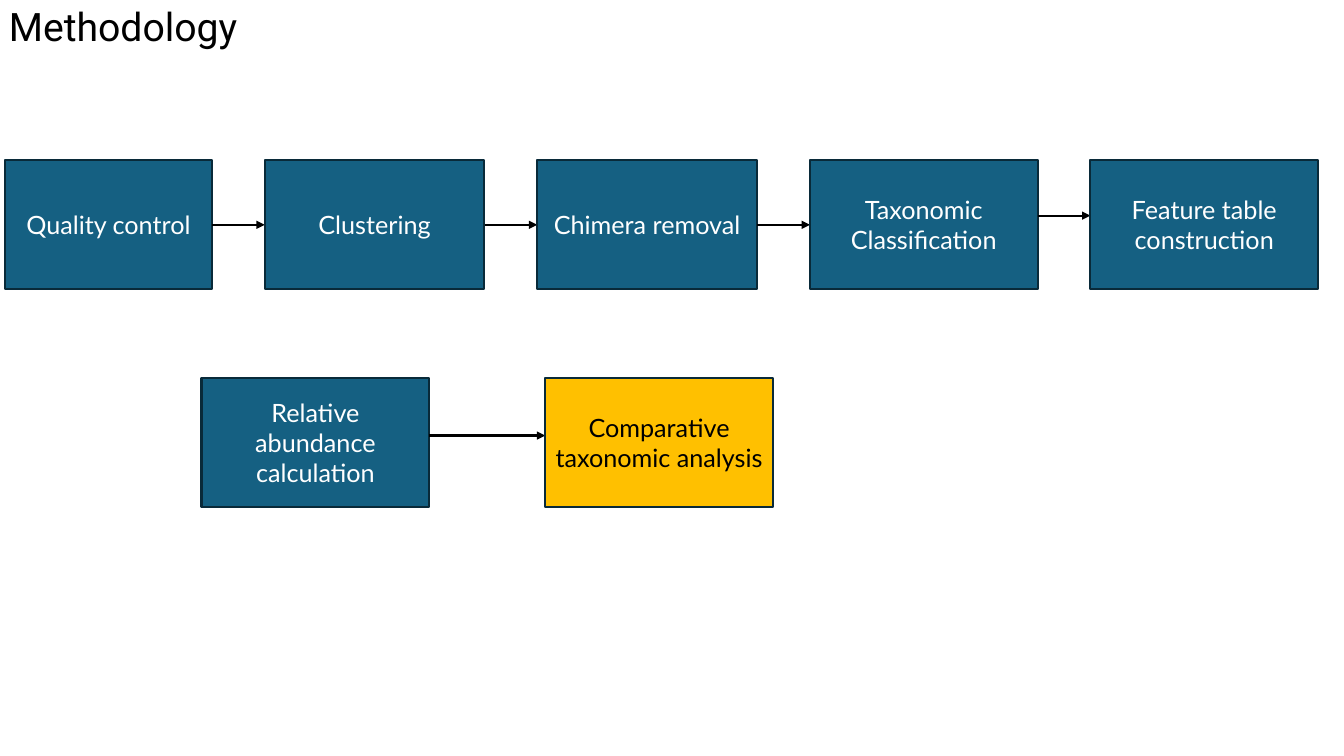
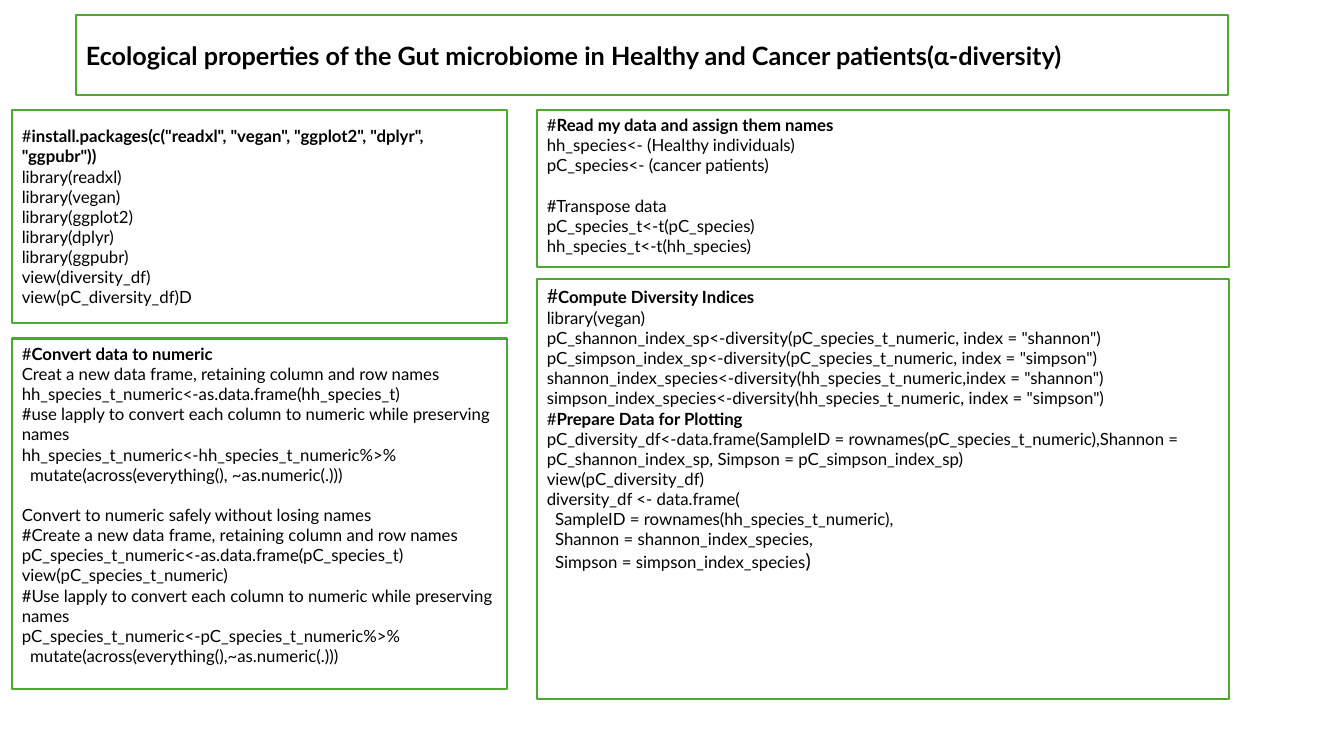
import pptx
import pptx.util
import pptx.dml.color
import pptx.enum.shapes
import pptx.enum.text
import pptx.oxml
import pptx.oxml.ns

Cm, Pt = pptx.util.Cm, pptx.util.Pt
RGBColor = pptx.dml.color.RGBColor
ALIGN = pptx.enum.text.PP_ALIGN
ANCHOR = pptx.enum.text.MSO_ANCHOR

BLACK = RGBColor(0x00, 0x00, 0x00)
WHITE = RGBColor(0xFF, 0xFF, 0xFF)
TEAL = RGBColor(0x15, 0x60, 0x82)
NAVY = RGBColor(0x09, 0x2A, 0x39)
AMBER = RGBColor(0xFF, 0xC0, 0x00)
GREEN = RGBColor(0x4E, 0xA7, 0x2E)
BODY_FONT, TITLE_FONT = "Lato", "Roboto"
LINE_WIDTH = Pt(1.5)
CODE_SIZE = 12
GAP = None  # an empty line between two groups of code


def heading(text, hash_size=CODE_SIZE):
    return [("#", hash_size, False), (text, CODE_SIZE, True)]


# Methodology: rows of steps (text, width, fill, font colour), lengths in cm
STEP_HEIGHT = 3.25
STEP_ROWS = [
    {"left": 0.13, "top": 4.04, "gap": 1.33, "arrow_lifts": [0, 0, 0, 0.23],
     "steps": [("Quality control", 5.21, TEAL, WHITE),
               ("Clustering", 5.54, TEAL, WHITE),
               ("Chimera removal", 5.54, TEAL, WHITE),
               ("Taxonomic Classification", 5.74, TEAL, WHITE),
               ("Feature table construction", 5.74, TEAL, WHITE)]},
    {"left": 5.08, "top": 9.53, "gap": 2.92, "arrow_lifts": [0.18],
     "steps": [("Relative abundance calculation", 5.74, TEAL, WHITE),
               ("Comparative taxonomic analysis", 5.74, AMBER, BLACK)]},
]

# Diversity: code panels in two columns (left, width), lengths in cm
LEFT_COLUMN, RIGHT_COLUMN = (0.3, 12.47), (13.53, 17.45)
PANELS = [
    (LEFT_COLUMN, 2.77, 5.38, ANCHOR.MIDDLE, [
        heading('install.packages(c("readxl", "vegan", "ggplot2", "dplyr", "ggpubr"))'),
        "library(readxl)",
        "library(vegan)",
        "library(ggplot2)",
        "library(dplyr)",
        "library(ggpubr)",
        "view(diversity_df)",
        "view(pC_diversity_df)D",
    ]),
    (RIGHT_COLUMN, 2.77, 3.96, ANCHOR.TOP, [
        heading("Read my data and assign them names"),
        "hh_species<- (Healthy individuals)",
        "pC_species<- (cancer patients)",
        GAP,
        "#Transpose data",
        "pC_species_t<-t(pC_species)",
        "hh_species_t<-t(hh_species)",
    ]),
    (LEFT_COLUMN, 8.53, 8.84, ANCHOR.TOP, [
        heading("Convert data to numeric"),
        "Creat a new data frame, retaining column and row names",
        "hh_species_t_numeric<-as.data.frame(hh_species_t)",
        "#use lapply to convert each column to numeric while preserving names",
        "hh_species_t_numeric<-hh_species_t_numeric%>%",
        "\tmutate(across(everything(), ~as.numeric(.)))",
        GAP,
        "Convert to numeric safely without losing names",
        "#Create a new data frame, retaining column and row names",
        "pC_species_t_numeric<-as.data.frame(pC_species_t)",
        "view(pC_species_t_numeric)",
        "#Use lapply to convert each column to numeric while preserving names",
        "pC_species_t_numeric<-pC_species_t_numeric%>%",
        "\tmutate(across(everything(),~as.numeric(.)))",
    ]),
    (RIGHT_COLUMN, 7.03, 10.59, ANCHOR.TOP, [
        heading("Compute Diversity Indices", 14),
        "library(vegan)",
        'pC_shannon_index_sp<-diversity(pC_species_t_numeric, index = "shannon")',
        'pC_simpson_index_sp<-diversity(pC_species_t_numeric, index = "simpson")',
        'shannon_index_species<-diversity(hh_species_t_numeric,index = "shannon")',
        'simpson_index_species<-diversity(hh_species_t_numeric, index = "simpson")',
        heading("Prepare Data for Plotting"),
        "pC_diversity_df<-data.frame(SampleID = rownames(pC_species_t_numeric),"
        "Shannon = pC_shannon_index_sp, Simpson = pC_simpson_index_sp)",
        "view(pC_diversity_df)",
        "diversity_df <- data.frame(",
        "\tSampleID = rownames(hh_species_t_numeric),",
        "\tShannon = shannon_index_species,",
        [("\tSimpson = simpson_index_species", CODE_SIZE, False), (")", 14, False)],
    ]),
]


def add_run(paragraph, text, size, color=BLACK, bold=False, font=BODY_FONT):
    run = paragraph.add_run()
    run.text = text
    run.font.name, run.font.size = font, Pt(size)
    run.font.bold, run.font.color.rgb = bold, color


def paint(shape, fill, line):
    shape.fill.solid()
    shape.fill.fore_color.rgb = fill
    shape.line.color.rgb = line
    shape.line.width = LINE_WIDTH


def add_titled_slide(presentation, text, box, anchor, **style):
    slide = presentation.slides.add_slide(presentation.slide_layouts[5])
    title = slide.shapes.title
    title.left, title.top, title.width, title.height = map(Cm, box)
    frame = title.text_frame
    frame.auto_size = pptx.enum.text.MSO_AUTO_SIZE.NONE
    frame.vertical_anchor = anchor
    frame.paragraphs[0].alignment = ALIGN.LEFT
    add_run(frame.paragraphs[0], text, **style)
    return slide


def add_box(slide, left, top, width, height, fill, line, anchor=ANCHOR.MIDDLE):
    shape = slide.shapes.add_shape(pptx.enum.shapes.MSO_SHAPE.RECTANGLE,
                                   Cm(left), Cm(top), Cm(width), Cm(height))
    shape.shadow.inherit = False
    paint(shape, fill, line)
    shape.text_frame.word_wrap = True
    shape.text_frame.vertical_anchor = anchor
    return shape.text_frame


def add_arrow(slide, start, end, y):
    arrow = slide.shapes.add_connector(pptx.enum.shapes.MSO_CONNECTOR.STRAIGHT,
                                       Cm(start), Cm(y), Cm(end), Cm(y))
    arrow.line.color.rgb = BLACK
    arrow.line.width = LINE_WIDTH
    tail = pptx.oxml.parse_xml(
        f'<a:tailEnd {pptx.oxml.ns.nsdecls("a")} type="triangle"/>')
    arrow.line._get_or_add_ln().append(tail)
    effects = pptx.oxml.parse_xml(f'<a:effectLst {pptx.oxml.ns.nsdecls("a")}/>')
    arrow._element.spPr.append(effects)


def add_step_row(slide, row):
    left, top, gap = row["left"], row["top"], row["gap"]
    for index, (text, width, fill, color) in enumerate(row["steps"]):
        if index:
            lift = row["arrow_lifts"][index - 1]
            add_arrow(slide, left - gap, left, top + STEP_HEIGHT / 2 - lift)
        frame = add_box(slide, left, top, width, STEP_HEIGHT, fill, NAVY)
        frame.paragraphs[0].alignment = ALIGN.CENTER
        add_run(frame.paragraphs[0], text, 18, color)
        left += width + gap


def write_code(frame, lines):
    paragraph, space = frame.paragraphs[0], Pt(0)
    for index, line in enumerate(lines):
        if line is GAP:
            space = Pt(CODE_SIZE * 1.2)
            continue
        if index:
            paragraph = frame.add_paragraph()
        paragraph.alignment = ALIGN.LEFT
        paragraph.space_before, space = space, Pt(0)
        runs = [(line, CODE_SIZE, False)] if isinstance(line, str) else line
        if runs[0][0].startswith("\t"):  # a leading tab marks an indented line
            paragraph._p.get_or_add_pPr().set("marL", str(Cm(0.21)))
        for text, size, bold in runs:
            add_run(paragraph, text.lstrip("\t"), size, bold=bold)


def main():
    presentation = pptx.Presentation()
    presentation.slide_width, presentation.slide_height = Cm(33.87), Cm(19.05)

    # Methodology flow
    slide = add_titled_slide(presentation, "Methodology", (-0.03, -0.08, 32.84, 1.45),
                             ANCHOR.TOP, size=28, font=TITLE_FONT)
    for row in STEP_ROWS:
        add_step_row(slide, row)

    # Diversity code
    slide = add_titled_slide(
        presentation,
        "Ecological properties of the Gut microbiome in Healthy and Cancer "
        "patients(α-diversity)",
        (1.91, 0.38, 29.03, 2.01), ANCHOR.MIDDLE, size=18, bold=True)
    paint(slide.shapes.title, WHITE, GREEN)
    for (left, width), top, height, anchor, lines in PANELS:
        frame = add_box(slide, left, top, width, height, WHITE, GREEN, anchor)
        write_code(frame, lines)

    presentation.save("out.pptx")


if __name__ == "__main__":
    main()
